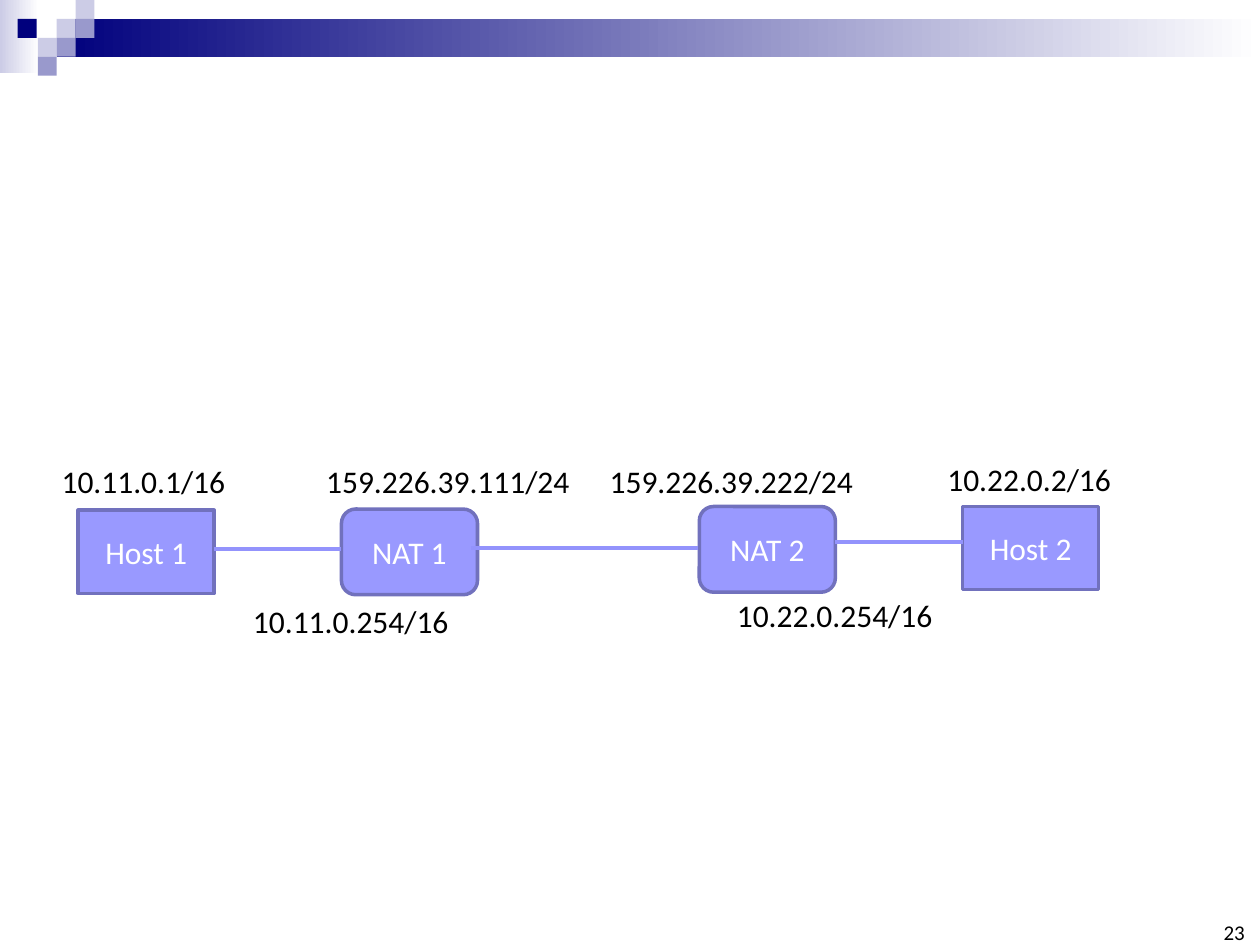
import pptx
import pptx.dml.color
import pptx.enum.shapes
import pptx.enum.text
import pptx.oxml.ns
import pptx.util
from lxml import etree

Inches = pptx.util.Inches
Pt = pptx.util.Pt
SHAPE = pptx.enum.shapes.MSO_SHAPE
ALIGN = pptx.enum.text.PP_ALIGN
ANCHOR = pptx.enum.text.MSO_ANCHOR
AUTO_SIZE = pptx.enum.text.MSO_AUTO_SIZE

NAVY, MID, PALE, WHITE = "00007D", "9999CC", "CCCCE6", "FFFFFF"
TILE = 0.15


def color(hex_code):
    return pptx.dml.color.RGBColor.from_string(hex_code)


def write(frame, text, size=18, ink="000000", align=ALIGN.LEFT, anchor=ANCHOR.TOP):
    frame.vertical_anchor = anchor
    paragraph = frame.paragraphs[0]
    paragraph.alignment = align
    run = paragraph.add_run()
    run.text = text
    run.font.name = "Calibri"
    run.font.size = Pt(size)
    run.font.color.rgb = color(ink)


class Diagram:
    node_fill, node_edge, link_color = "9999FF", "7171BD", "9393FC"
    node_width = 1.08

    def __init__(self, slide):
        self.slide = slide

    def shape(self, kind, *box):
        shape = self.slide.shapes.add_shape(kind, *map(Inches, box))
        shape.shadow.inherit = False
        return shape

    def tile(self, fill, *box):
        tile = self.shape(SHAPE.RECTANGLE, *box)
        tile.fill.solid()
        tile.fill.fore_color.rgb = color(fill)
        tile.line.fill.background()

    def fade(self, start, *box):
        """Draw a band that fades to white from left to right."""
        band = self.shape(SHAPE.RECTANGLE, *box)
        band.fill.gradient()
        band.fill.gradient_angle = 0
        for stop, hex_code in zip(band.fill.gradient_stops, (start, WHITE)):
            stop.color.rgb = color(hex_code)
        band.line.fill.background()

    def node(self, name, kind, left, top, height):
        node = self.shape(kind, left, top, self.node_width, height)
        node.fill.solid()
        node.fill.fore_color.rgb = color(self.node_fill)
        node.line.color.rgb = color(self.node_edge)
        node.line.width = Pt(2)
        write(node.text_frame, name, ink=WHITE, align=ALIGN.CENTER, anchor=ANCHOR.MIDDLE)

    def link(self, start, end, y):
        link = self.slide.shapes.add_connector(
            pptx.enum.shapes.MSO_CONNECTOR.STRAIGHT,
            Inches(start), Inches(y), Inches(end), Inches(y))
        link.line.color.rgb = color(self.link_color)
        link.line.width = Pt(2.25)
        properties = link.element.find(pptx.oxml.ns.qn("p:spPr"))
        etree.SubElement(properties, pptx.oxml.ns.qn("a:effectLst"))

    def address(self, text, left, top, width):
        frame = self.slide.shapes.add_textbox(
            *map(Inches, (left, top, width, 0.4))).text_frame
        frame.word_wrap = False
        frame.auto_size = AUTO_SIZE.SHAPE_TO_FIT_TEXT
        write(frame, text)

    def page_number(self, number):
        frame = self.slide.shapes.add_textbox(
            *map(Inches, (9.65, 7.33, 0.23, 0.17))).text_frame
        frame.margin_left = frame.margin_right = 0
        frame.margin_top = frame.margin_bottom = 0
        write(frame, number, size=12, align=ALIGN.RIGHT, anchor=ANCHOR.BOTTOM)


def main():
    deck = pptx.Presentation()
    deck.slide_width, deck.slide_height = Inches(10), Inches(7.5)
    diagram = Diagram(deck.slides.add_slide(deck.slide_layouts[6]))

    diagram.fade(PALE, 0, 0, 0.31, 0.58)
    diagram.fade(NAVY, 0.45, TILE, 9.55, 2 * TILE)
    for fill, column, row in (
            (PALE, 3, 1), (PALE, 4, 0), (MID, 4, 1), (PALE, 2, 2),
            (MID, 3, 2), (MID, 2, 3)):
        diagram.tile(fill, column * TILE, row * TILE, TILE, TILE)
    diagram.tile(NAVY, 0.14, TILE, TILE, TILE)
    diagram.page_number("23")

    for name, left, top in (("NAT 2", 5.55, 4.02), ("NAT 1", 2.71, 4.04)):
        diagram.node(name, SHAPE.ROUNDED_RECTANGLE, left, top, 0.68)
    for name, left, top in (("Host 1", 0.62, 4.05), ("Host 2", 7.64, 4.02)):
        diagram.node(name, SHAPE.RECTANGLE, left, top, 0.66)
    for start, end, y in ((1.7, 2.71, 4.36), (3.74, 5.54, 4.35), (6.63, 7.64, 4.3)):
        diagram.link(start, end, y)

    for text, left, top, width in (
            ("10.11.0.254/16", 1.91, 4.73, 1.77),
            ("10.11.0.1/16", 0.39, 3.62, 1.51),
            ("10.22.0.254/16", 5.75, 4.68, 1.77),
            ("10.22.0.2/16", 7.42, 3.6, 1.51),
            ("159.226.39.111/24", 2.49, 3.62, 2.15),
            ("159.226.39.222/24", 4.74, 3.62, 2.15)):
        diagram.address(text, left, top, width)

    deck.save("out.pptx")


if __name__ == "__main__":
    main()
